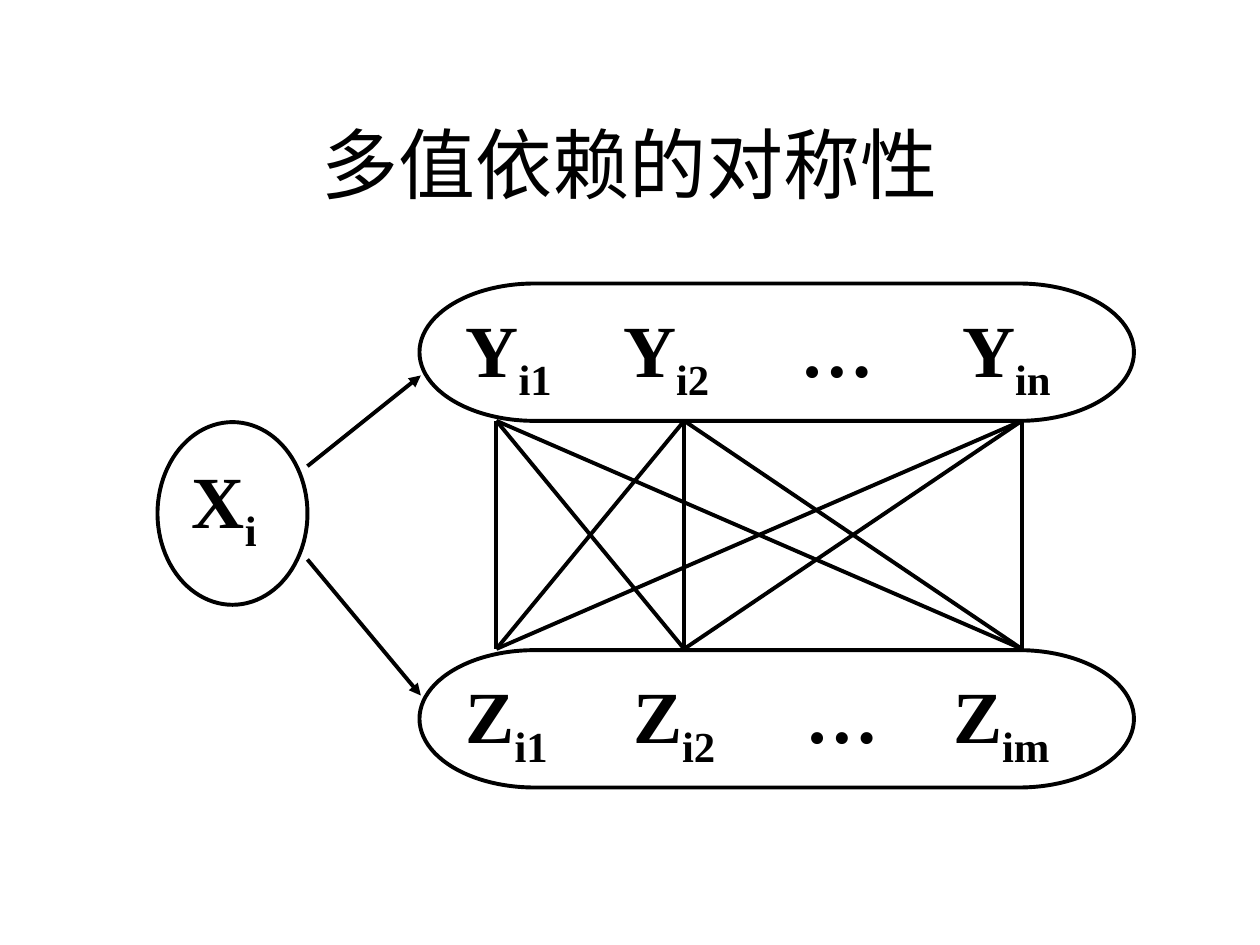
from itertools import product

from lxml import etree
from pptx import Presentation
from pptx.dml.color import RGBColor
from pptx.enum.shapes import MSO_CONNECTOR, MSO_SHAPE
from pptx.enum.text import MSO_ANCHOR, PP_ALIGN
from pptx.oxml.ns import qn
from pptx.util import Inches, Pt

OVAL, PILL = MSO_SHAPE.OVAL, MSO_SHAPE.FLOWCHART_TERMINATOR
STRAIGHT = MSO_CONNECTOR.STRAIGHT
FONT, BLACK, WHITE = "Times New Roman", "000000", "FFFFFF"

# Content: (letter, subscript) pairs, with tab stops in inches between them
TITLE = "多值依赖的对称性"
PILL_LEFT, PILL_WIDTH, PILL_HEIGHT = 3.33, 5.67, 1.09
Y_TOP, Z_TOP = 2.25, 5.16
NODES = [
    (OVAL, (1.25, 3.35, 1.19, 1.45), 0.05, [("X", "i")], []),
    (PILL, (PILL_LEFT, Z_TOP, PILL_WIDTH, PILL_HEIGHT), 0,
     [("Z", "i1"), ("Z", "i2"), ("…", ""), ("Z", "im")], [1.33, 2.7, 3.87]),
    (PILL, (PILL_LEFT, Y_TOP, PILL_WIDTH, PILL_HEIGHT), 0,
     [("Y", "i1"), ("Y", "i2"), ("…", ""), ("Y", "in")], [1.25, 2.66, 3.94]),
]
ARROWS = [((2.44, 3.7), (3.34, 2.98)), ((2.44, 4.44), (3.34, 5.52))]
LINK_COLUMNS = [3.94, 5.43, 8.11]
LINK_TOP, LINK_BOTTOM = Y_TOP + PILL_HEIGHT, Z_TOP - 0.01


def color(value):
    return RGBColor.from_string(value)


def style_line(line):
    line.color.rgb = color(BLACK)
    line.width = Pt(2.25)


def style_font(font, size, bold):
    font.name, font.size, font.bold = FONT, Pt(size), bold
    font.color.rgb = color(BLACK)


def add_tabs(para, stops):
    tab_list = etree.SubElement(para._p.get_or_add_pPr(), qn("a:tabLst"))
    for stop in stops:
        etree.SubElement(tab_list, qn("a:tab"), pos=str(Inches(stop)), algn="l")


def add_node(page, kind, place, inset_top, terms, stops):
    node = page.shapes.add_shape(kind, *map(Inches, place))
    node.shadow.inherit = False
    node.fill.solid()
    node.fill.fore_color.rgb = color(WHITE)
    style_line(node.line)
    frame = node.text_frame
    frame.vertical_anchor = MSO_ANCHOR.TOP
    frame.margin_top = Inches(inset_top)
    para = frame.paragraphs[0]
    para.alignment = PP_ALIGN.JUSTIFY
    if stops:
        add_tabs(para, stops)
    style_font(para.font, 42, True)
    for index, (letter, subscript) in enumerate(terms):
        para.add_run().text = ("\t" if index else "") + letter
        if subscript:
            span = para.add_run()
            span.text = subscript
            span.font._element.set("baseline", "-25000")


def add_line(page, start, end, arrow=False):
    line = page.shapes.add_connector(STRAIGHT, *map(Inches, start + end))
    style_line(line.line)
    if arrow:
        etree.SubElement(line.line._get_or_add_ln(), qn("a:tailEnd"), type="triangle")
    etree.SubElement(line._element.spPr, qn("a:effectLst"))


deck = Presentation()
deck.slide_width, deck.slide_height = Inches(10), Inches(7.5)
page = deck.slides.add_slide(deck.slide_layouts[5])

# Title
title = page.shapes.title
title.left, title.top, title.width, title.height = map(Inches, (0.75, 0.67, 8.5, 1.25))
title.text_frame.text = TITLE
title.text_frame.vertical_anchor = MSO_ANCHOR.MIDDLE
heading = title.text_frame.paragraphs[0]
heading.alignment = PP_ALIGN.CENTER
style_font(heading.font, 44, False)

# Nodes
for node in NODES:
    add_node(page, *node)

# Arrows from X to both value sets
for start, end in ARROWS:
    add_line(page, start, end, arrow=True)

# Every Y value is linked with every Z value
for upper, lower in product(LINK_COLUMNS, repeat=2):
    add_line(page, (upper, LINK_TOP), (lower, LINK_BOTTOM))

deck.save("out.pptx")
